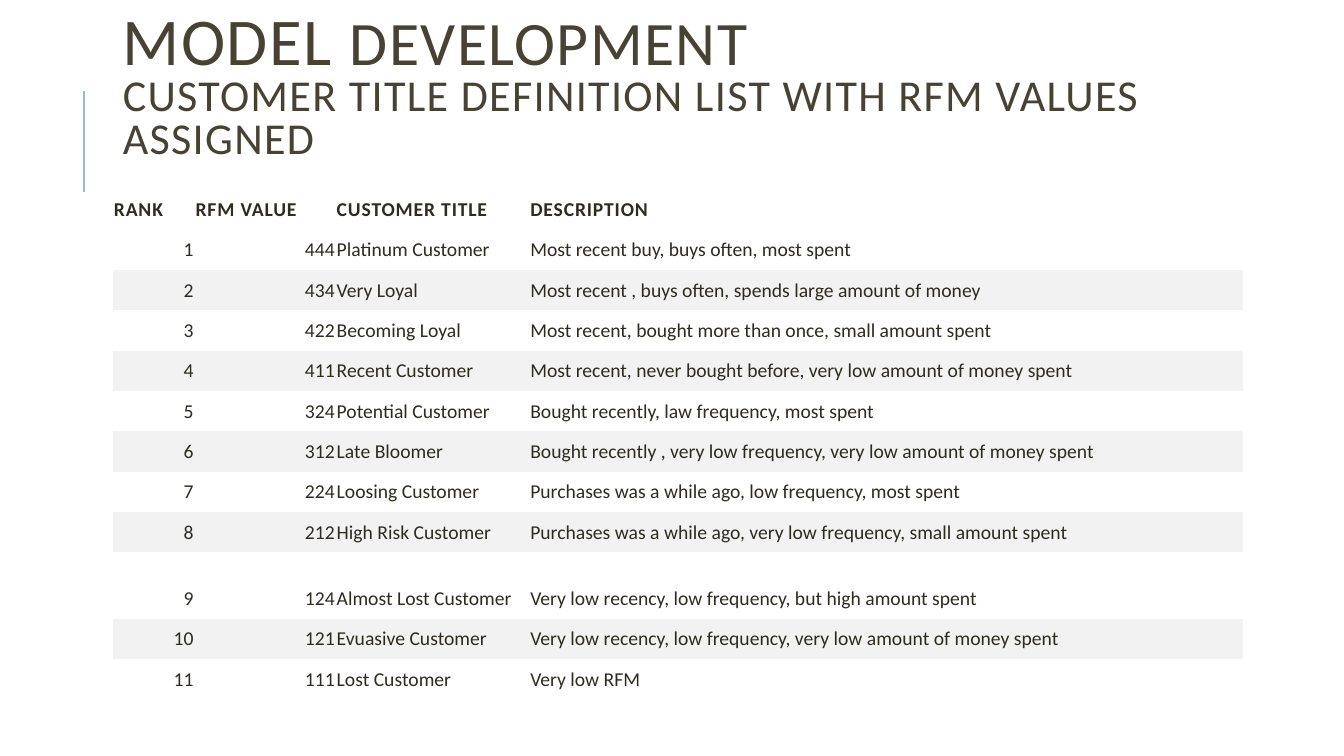
"""Build the customer title definition slide with its RFM value table."""
from lxml import etree
from pptx import Presentation
from pptx import util as u
from pptx.dml.color import RGBColor
from pptx.enum import shapes, text
from pptx.oxml.ns import qn

COLORS = {"title": "474233", "body": "2E2B21", "band": "F2F2F2", "accent": "9CBEBD"}
FONT = "Calibri"
NO_GRID_STYLE = "{2D5ABB26-0587-4C30-8999-92F81FD0307C}"
COLUMN_WIDTHS = [0.81, 1.4, 1.92, 7.08]
HEADER_HEIGHT, ROW_HEIGHT, TALL_HEIGHT, TALL_RANK = 0.46, 0.4, 0.66, 9
LEFT, TABLE_TOP = 1.12, 1.82
HEADINGS = ["RANK", "RFM VALUE", "CUSTOMER TITLE", "DESCRIPTION"]
CUSTOMERS = [
    ("444", "Platinum Customer", "Most recent buy, buys often, most spent"),
    ("434", "Very Loyal", "Most recent , buys often, spends large amount of money"),
    ("422", "Becoming Loyal", "Most recent, bought more than once, small amount spent"),
    ("411", "Recent Customer", "Most recent, never bought before, very low amount of money spent"),
    ("324", "Potential Customer", "Bought recently, law frequency, most spent"),
    ("312", "Late Bloomer", "Bought recently , very low frequency, very low amount of money spent"),
    ("224", "Loosing Customer", "Purchases was a while ago, low frequency, most spent"),
    ("212", "High Risk Customer", "Purchases was a while ago, very low frequency, small amount spent"),
    ("124", "Almost Lost Customer", "Very low recency, low frequency, but high amount spent"),
    ("121", "Evuasive Customer", "Very low recency, low frequency, very low amount of money spent"),
    ("111", "Lost Customer", "Very low RFM"),
]


def add_run(paragraph, words, size, color, bold=False, spacing=0):
    run = paragraph.add_run()
    run.text = words
    run.font.name = FONT
    run.font.size = u.Pt(size)
    run.font.bold = bold
    run.font.color.rgb = RGBColor.from_string(COLORS[color])
    run.font._element.set("spc", str(round(spacing * 100)))


presentation = Presentation()
presentation.slide_width, presentation.slide_height = u.Inches(13.33), u.Inches(7.5)
slide = presentation.slides.add_slide(presentation.slide_layouts[6])

accent_line = slide.shapes.add_connector(
    shapes.MSO_CONNECTOR.STRAIGHT, u.Inches(0.83), u.Inches(1.9), u.Inches(0.83), u.Inches(0.9))
accent_line.line.color.rgb = RGBColor.from_string(COLORS["accent"])
accent_line.line.width = u.Pt(1.5)
etree.SubElement(accent_line._element.spPr, qn("a:effectLst"))

title_box = slide.shapes.add_textbox(u.Inches(LEFT), u.Inches(0.4), u.Inches(10.63), u.Inches(0.95))
title_box.text_frame.word_wrap = True
title_box.text_frame.vertical_anchor = text.MSO_ANCHOR.MIDDLE
paragraph = title_box.text_frame.paragraphs[0]
paragraph.line_spacing = 0.8
add_run(paragraph, "MODEL ", 47.7, "title", spacing=1)
add_run(paragraph, "DEVELOPMENT", 44.1, "title", spacing=1)
paragraph.add_line_break()
add_run(paragraph, "CUSTOMER TITLE DEFINITION LIST WITH RFM VALUES ASSIGNED", 31.5, "title", spacing=1)

rows = [HEADINGS] + [(str(rank), *customer) for rank, customer in enumerate(CUSTOMERS, 1)]
row_heights = [HEADER_HEIGHT] + [ROW_HEIGHT] * len(CUSTOMERS)
row_heights[TALL_RANK] = TALL_HEIGHT
table_frame = slide.shapes.add_table(
    len(rows), len(HEADINGS), u.Inches(LEFT), u.Inches(TABLE_TOP),
    u.Inches(sum(COLUMN_WIDTHS)), u.Inches(sum(row_heights)))
table = table_frame.table
table.first_row = table.horz_banding = False
table_frame._element.find(".//" + qn("a:tableStyleId")).text = NO_GRID_STYLE
for column, width in zip(table.columns, COLUMN_WIDTHS):
    column.width = u.Inches(width)

for row_index, values in enumerate(rows):
    table.rows[row_index].height = u.Inches(row_heights[row_index])
    header = row_index == 0
    for column_index, value in enumerate(values):
        cell = table.cell(row_index, column_index)
        cell.vertical_anchor = text.MSO_ANCHOR.BOTTOM
        cell.margin_left = cell.margin_right = u.Inches(0.01)
        cell.margin_top = u.Inches(0.08 if header else 0.01)
        cell.margin_bottom = u.Inches(0.08)
        if row_index % 2 == 0 and not header:
            cell.fill.solid()
            cell.fill.fore_color.rgb = RGBColor.from_string(COLORS["band"])
        else:
            cell.fill.background()
        paragraph = cell.text_frame.paragraphs[0]
        numeric = column_index < 2 and not header
        paragraph.alignment = text.PP_ALIGN.RIGHT if numeric else text.PP_ALIGN.LEFT
        add_run(paragraph, value, 14, "body", bold=header, spacing=0.6 if header else 0)

presentation.save("out.pptx")
